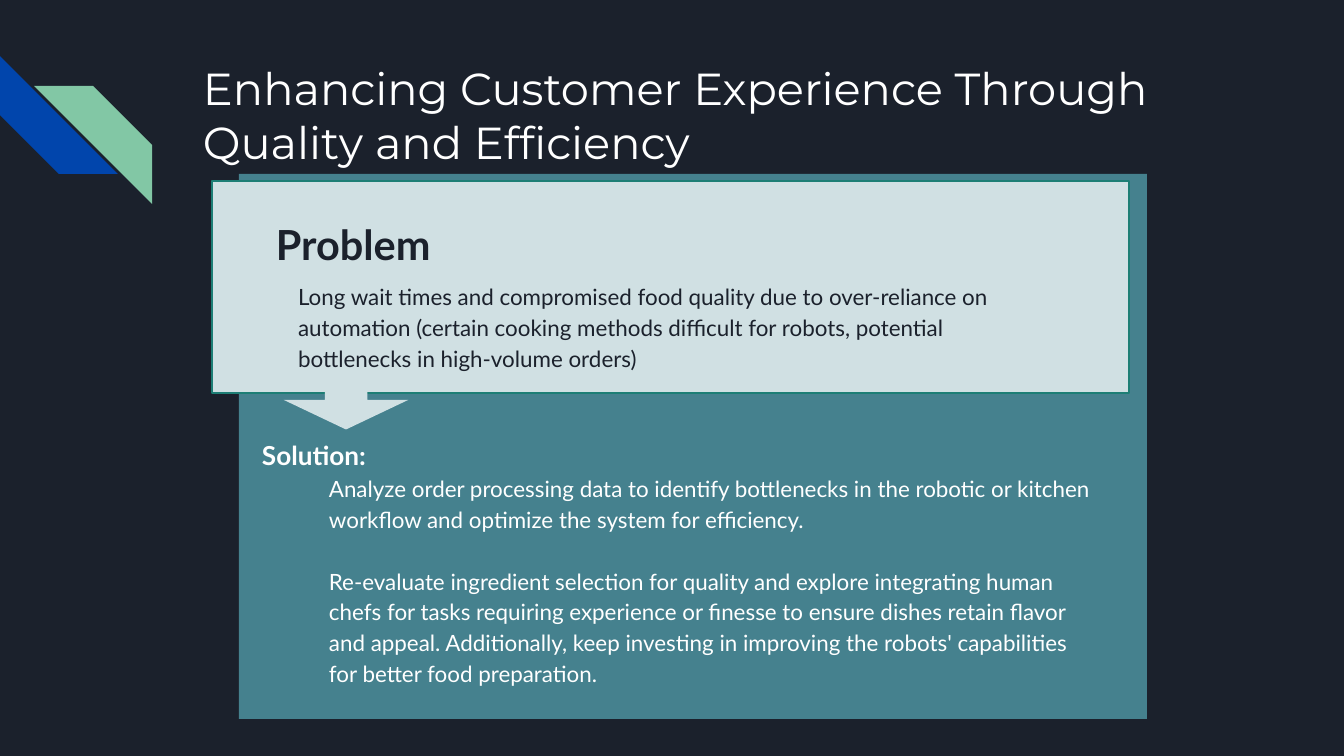
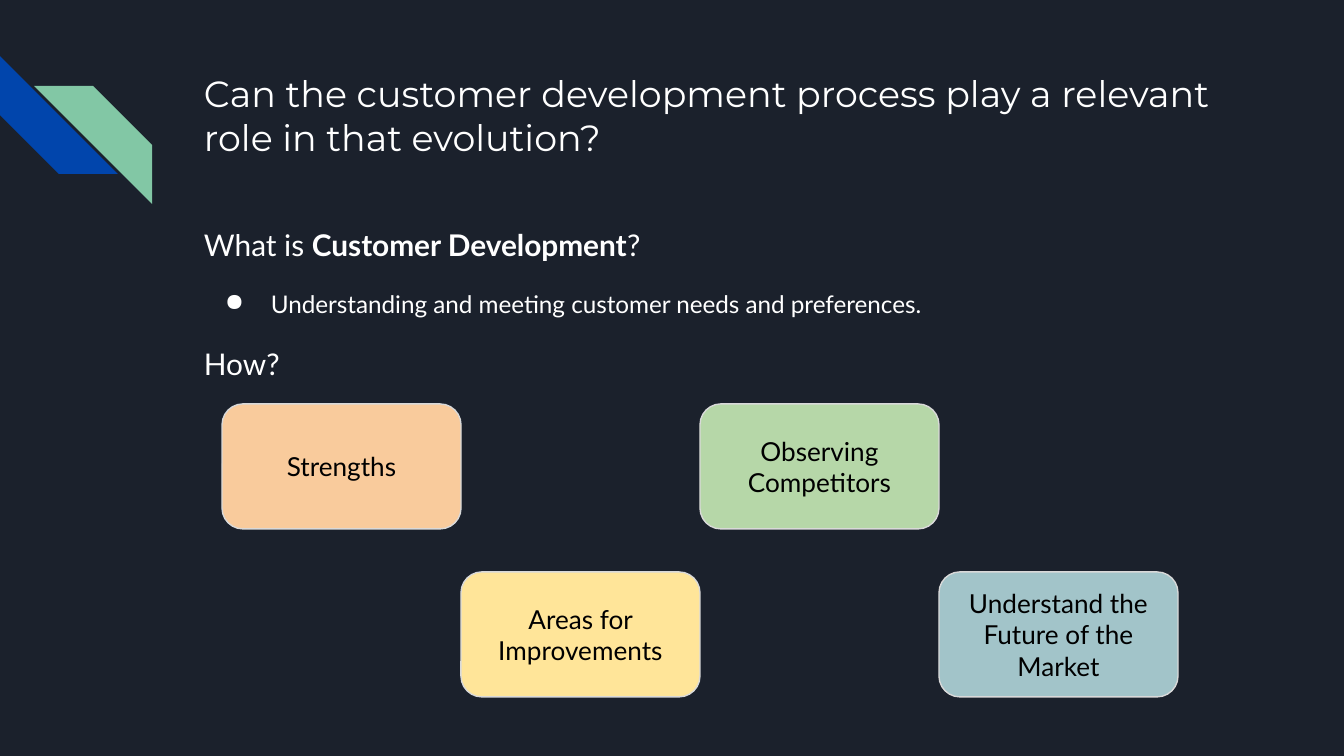
from dataclasses import dataclass

from lxml import etree
from pptx import Presentation
from pptx.dml.color import RGBColor
from pptx.enum.shapes import MSO_SHAPE
from pptx.enum.text import MSO_ANCHOR, PP_ALIGN
from pptx.oxml.ns import qn
from pptx.util import Pt

STRIPE = MSO_SHAPE.DIAGONAL_STRIPE
RECTANGLE = MSO_SHAPE.RECTANGLE
ARROW = MSO_SHAPE.RIGHT_ARROW
CARD = MSO_SHAPE.FLOWCHART_ALTERNATE_PROCESS
TOP = MSO_ANCHOR.TOP
MIDDLE = MSO_ANCHOR.MIDDLE
LEFT = PP_ALIGN.LEFT
CENTER = PP_ALIGN.CENTER

PAGE_WIDTH, PAGE_HEIGHT = 1344, 756
EMU_PER_PX = 9144000 / PAGE_WIDTH
INSET = 13
INDENT = 67
BULLET_HANG = 46

TITLE_FONT, BODY_FONT = "Montserrat", "Lato"
NAVY, WHITE, BLACK = "1B212C", "FFFFFF", "000000"
BLUE, GREEN = "0145AC", "82C7A5"
TEAL, PALE, TEAL_EDGE = "45818E", "D0E0E3", "1D7E75"
CARD_EDGE = "D9D9D9"


@dataclass
class Box:
    left: int
    top: int
    width: int
    height: int

    def inner(self, left, top, width, height):
        return Box(self.left + left, self.top + top, width, height)

    def emu(self):
        return [px(side) for side in (self.left, self.top, self.width, self.height)]


def px(length):
    return round(length * EMU_PER_PX)


def color(value):
    return RGBColor.from_string(value)


def add_shape(page, kind, box, fill, edge=None, edge_width=1.5, rotation=0):
    shape = page.shapes.add_shape(kind, *box.emu())
    shape.shadow.inherit = False
    shape.rotation = rotation
    shape.fill.solid()
    shape.fill.fore_color.rgb = color(fill)
    if edge:
        shape.line.color.rgb = color(edge)
        shape.line.width = Pt(edge_width)
    else:
        shape.line.fill.background()
    return shape


def prepare_frame(shape, anchor=TOP):
    frame = shape.text_frame
    frame.word_wrap = True
    frame.vertical_anchor = anchor
    frame.margin_left = frame.margin_right = px(INSET)
    frame.margin_top = frame.margin_bottom = px(INSET)
    return frame


def add_text(page, box, text):
    frame = prepare_frame(page.shapes.add_textbox(*box.emu()))
    frame.text = text
    return frame.paragraphs


def style(para, size, ink, font=BODY_FONT, bold=False, spacing=1.15, before=0, align=LEFT):
    para.alignment = align
    para.line_spacing = spacing
    if before:
        para.space_before = Pt(before)
    for span in para.runs:
        span.font.name = font
        span.font.size = Pt(size)
        span.font.bold = bold
        span.font.color.rgb = color(ink)


def indent(para, left, first=0):
    properties = para._p.get_or_add_pPr()
    properties.set("marL", str(px(left)))
    properties.set("indent", str(px(first)))
    return properties


def add_bullet(para, ink):
    properties = indent(para, INDENT, -BULLET_HANG)
    bullet_color = etree.SubElement(properties, qn("a:buClr"))
    etree.SubElement(bullet_color, qn("a:srgbClr"), val=ink)
    etree.SubElement(properties, qn("a:buChar"), char="●")


def add_stripes(page, box):
    side = 118
    for offset, fill, rotation in (((0, 0), BLUE, 270), ((34, 30), GREEN, 90)):
        add_shape(page, STRIPE, box.inner(*offset, side, side), fill, rotation=rotation)


def add_page(deck, title, title_box, title_size):
    page = deck.slides.add_slide(deck.slide_layouts[6])
    page.background.fill.solid()
    page.background.fill.fore_color.rgb = color(NAVY)
    add_stripes(page, Box(0, 56, 152, 148))
    heading = add_text(page, title_box, title)[0]
    style(heading, title_size, WHITE, font=TITLE_FONT, spacing=1.0)
    return page


def add_problem(page, box):
    add_shape(page, RECTANGLE, box, PALE, edge=TEAL_EDGE)
    heading = add_text(page, box.inner(51, 18, 812, 90), "Problem")[0]
    style(heading, 22.2, NAVY, bold=True)
    description = add_text(
        page,
        box.inner(73, 85, 771, 112),
        "Long wait times and compromised food quality due to over-reliance on "
        "automation (certain cooking methods difficult for robots, potential "
        "bottlenecks in high-volume orders)",
    )[0]
    style(description, 12, NAVY)
    arrow = add_shape(page, ARROW, box.inner(108, 160, 52, 125), PALE, rotation=90)
    arrow.adjustments[0] = 0.34
    arrow.adjustments[1] = 0.57


def add_solution(page, box):
    heading, *steps = add_text(
        page,
        box,
        "Solution:\n"
        "Analyze order processing data to identify bottlenecks in the robotic or "
        "kitchen workflow and optimize the system for efficiency.\n"
        "Re-evaluate ingredient selection for quality and explore integrating human "
        "chefs for tasks requiring experience or finesse to ensure dishes retain "
        "flavor and appeal. Additionally, keep investing in improving the robots' "
        "capabilities for better food preparation.",
    )
    style(heading, 14, WHITE, bold=True)
    for step, before in zip(steps, (0, 16.5)):
        indent(step, INDENT)
        style(step, 12, WHITE, before=before)


def add_definition(page, box):
    question, answer, how = add_text(
        page, box, "\nUnderstanding and meeting customer needs and preferences.\nHow?"
    )
    for text in ("What is ", "Customer Development", "?"):
        question.add_run().text = text
    style(question, 16, WHITE)
    question.runs[1].font.bold = True
    add_bullet(answer, WHITE)
    style(answer, 13, WHITE, before=12)
    style(how, 16, WHITE, before=12)


def add_cards(page, box):
    cards = (
        ("Strengths", "F9CB9C"),
        ("Areas for Improvements", "FFE599"),
        ("Observing Competitors", "B6D7A8"),
        ("Understand the Future of the Market", "A2C4C9"),
    )
    width, height = box.width // len(cards), 125
    drop = box.height - height
    for column, (text, fill) in enumerate(cards):
        place = box.inner(column * width, column % 2 * drop, width, height)
        card = add_shape(page, CARD, place, fill, edge=CARD_EDGE, edge_width=0.75)
        frame = prepare_frame(card, MIDDLE)
        frame.text = text
        style(frame.paragraphs[0], 14, BLACK, spacing=1.0, align=CENTER)


def add_problem_page(deck):
    page = add_page(
        deck,
        "Enhancing Customer Experience Through Quality and Efficiency",
        Box(190, 48, 1137, 134),
        24,
    )
    panel = Box(239, 174, 908, 545)
    add_shape(page, RECTANGLE, panel, TEAL)
    add_problem(page, panel.inner(-27, 7, 917, 212))
    add_solution(page, panel.inner(10, 248, 861, 288))


def add_development_page(deck):
    page = add_page(
        deck,
        "Can the customer development process play a relevant role in that evolution?",
        Box(191, 58, 1035, 134),
        19.5,
    )
    add_definition(page, Box(191, 208, 1035, 426))
    add_cards(page, Box(222, 404, 956, 293))


def main():
    deck = Presentation()
    deck.slide_width = px(PAGE_WIDTH)
    deck.slide_height = px(PAGE_HEIGHT)
    add_problem_page(deck)
    add_development_page(deck)
    deck.save("out.pptx")


if __name__ == "__main__":
    main()
